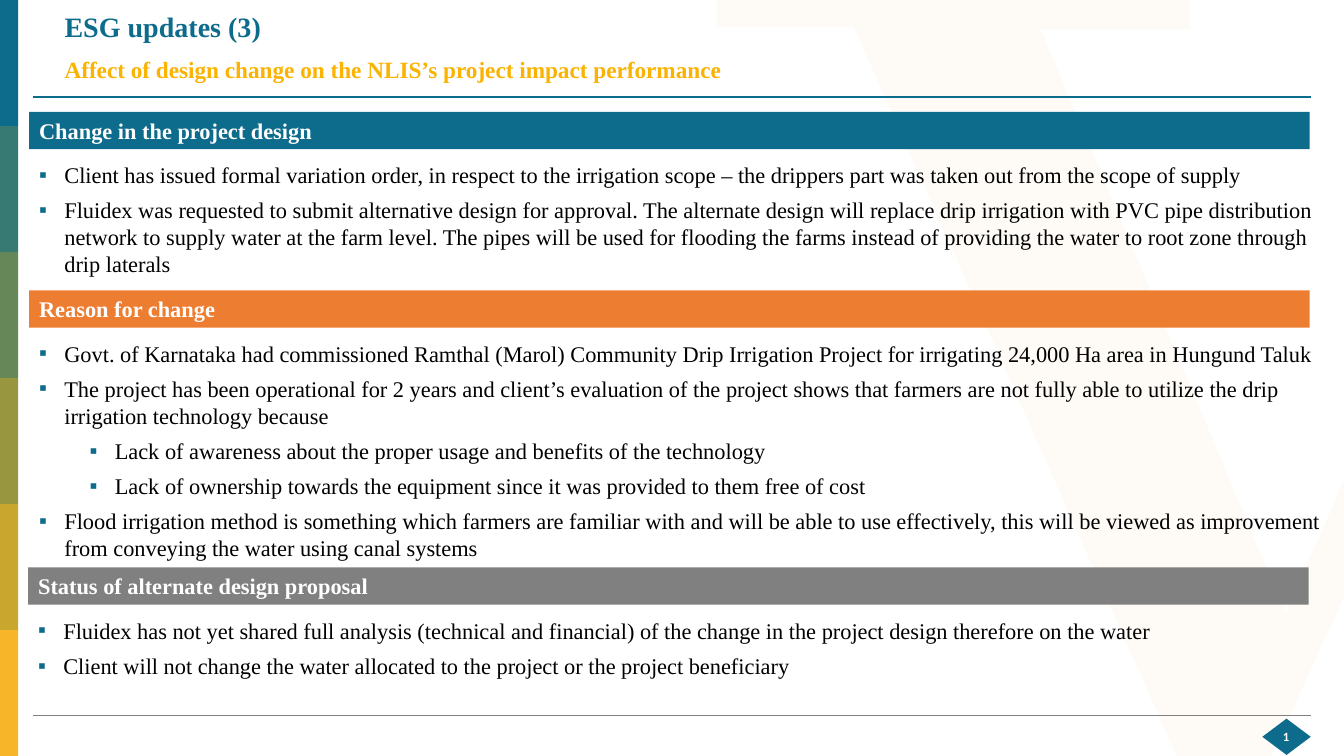
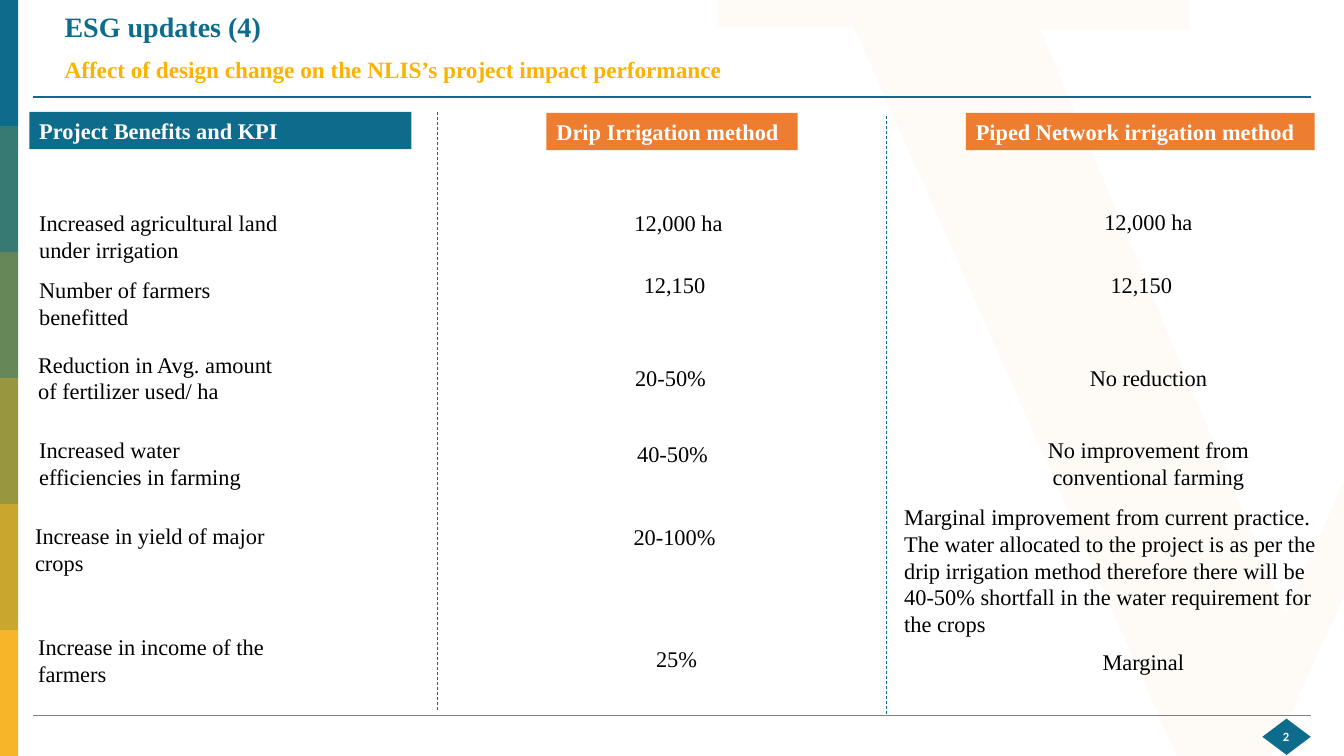
from dataclasses import dataclass

from lxml import etree
from pptx import Presentation
from pptx.dml.color import RGBColor
from pptx.enum.dml import MSO_LINE
from pptx.enum.shapes import MSO_CONNECTOR, MSO_SHAPE
from pptx.enum.text import MSO_ANCHOR, MSO_AUTO_SIZE, PP_ALIGN
from pptx.oxml.ns import qn
from pptx.util import Inches, Pt

STRAIGHT = MSO_CONNECTOR.STRAIGHT
RECTANGLE, DIAMOND = MSO_SHAPE.RECTANGLE, MSO_SHAPE.DIAMOND
TOP, MIDDLE = MSO_ANCHOR.TOP, MSO_ANCHOR.MIDDLE
LEFT, CENTER = PP_ALIGN.LEFT, PP_ALIGN.CENTER
DASH = MSO_LINE.DASH
NO_FIT = MSO_AUTO_SIZE.NONE


@dataclass(frozen=True)
class Theme:
    font: str = "Times New Roman"
    number_font: str = "Calibri"
    teal: str = "0D6B8C"
    orange: str = "ED7D31"
    gray: str = "808080"
    gold: str = "FAB301"
    cream: str = "FEF7E9"
    white: str = "FFFFFF"
    black: str = "000000"
    side_strip: tuple = ("0D6B8C", "367A73", "668757", "999640", "C9A62E", "F7B529")
    title_size: float = 20
    subtitle_size: float = 16.6
    body_size: float = 16
    number_size: float = 9


THEME = Theme()


class Deck:
    def __init__(self, theme):
        self.theme = theme
        self.presentation = Presentation()
        self.presentation.slide_width = Inches(13.33)
        self.presentation.slide_height = Inches(7.5)
        self.layout = self.presentation.slide_layouts[0]
        self.slide = None

    def add_slide(self, title, subtitle):
        first = self.slide is None
        self.slide = self.presentation.slides.add_slide(self.layout)
        if first:
            self.furnish_layout()
        theme = self.theme
        heading, subheading = self.slide.placeholders
        self.heading(heading, title, (0.54, 0.11, 8.83, 0.34), theme.title_size, theme.teal, 0.9)
        self.heading(subheading, subtitle, (0.54, 0.54, 11.03, 0.34), theme.subtitle_size, theme.gold, 0.8)

    def furnish_layout(self):
        theme = self.theme
        for placeholder in list(self.layout.placeholders)[2:]:
            placeholder.element.getparent().remove(placeholder.element)
        parts = [
            self.backdrop(),
            self.line((0.33, 0.96), (13, 0.96), theme.teal, 1.75),
            self.line((0.33, 7.1), (13, 7.1), theme.gray, 1),
            self.shape(DIAMOND, (12.52, 7.13, 0.48, 0.36), theme.teal),
            self.page_number(),
        ]
        strip_height = 7.5 / len(theme.side_strip)
        for index, color in enumerate(theme.side_strip):
            parts.append(self.shape(RECTANGLE, (0, index * strip_height, 0.18, strip_height), color))
        for part in parts:
            self.layout.shapes.element.append(part.element)

    def backdrop(self):
        outline = [(7.11, 0), (11.8, 0), (11.8, 0.29), (10.32, 0.29), (12.75, 6.08), (13.33, 4.77),
                   (13.33, 5.92), (12.61, 7.5), (11.67, 7.5), (8.47, 0.27), (7.11, 0.27)]
        points = [(Inches(x), Inches(y)) for x, y in outline]
        builder = self.slide.shapes.build_freeform(*points[0])
        builder.add_line_segments(points[1:], close=True)
        backdrop = self.paint(builder.convert_to_shape(), self.theme.cream)
        tint = backdrop.element.spPr.find(qn("a:solidFill")).find(qn("a:srgbClr"))
        etree.SubElement(tint, qn("a:alpha"), val="40000")
        return backdrop

    def page_number(self):
        theme = self.theme
        number = self.text("", (12.52, 7.18, 0.47, 0.25), CENTER)
        number.text_frame.vertical_anchor = MIDDLE
        paragraph = number.text_frame.paragraphs[0]
        paragraph.space_after = Pt(0)
        run = paragraph.add_run()
        run.text = "‹#›"
        self.style(run.font, theme.number_size, theme.white, True, theme.number_font)
        field = run._r
        field.tag = qn("a:fld")
        field.set("id", "{B6F15528-21DE-4FAA-801E-634DDDAF4B2B}")
        field.set("type", "slidenum")
        return number

    def style(self, font, size, color, bold=False, name=None):
        font.name = name or self.theme.font
        font.size = Pt(size)
        font.bold = bold
        font.color.rgb = RGBColor.from_string(color)

    def box(self, place):
        return [Inches(length) for length in place]

    def heading(self, placeholder, text, place, size, color, spacing):
        placeholder.left, placeholder.top, placeholder.width, placeholder.height = self.box(place)
        frame = placeholder.text_frame
        frame.text = text
        frame.auto_size = NO_FIT
        frame.vertical_anchor = MIDDLE
        paragraph = frame.paragraphs[0]
        paragraph.alignment = LEFT
        paragraph.line_spacing = spacing
        paragraph.space_before = Pt(0)
        self.style(paragraph.font, size, color, True)

    def paint(self, shape, color):
        shape.shadow.inherit = False
        shape.fill.solid()
        shape.fill.fore_color.rgb = RGBColor.from_string(color)
        shape.line.fill.background()
        return shape

    def shape(self, kind, place, color):
        return self.paint(self.slide.shapes.add_shape(kind, *self.box(place)), color)

    def line(self, start, end, color, width, dash=None):
        line = self.slide.shapes.add_connector(STRAIGHT, *self.box(start + end))
        line.line.color.rgb = RGBColor.from_string(color)
        line.line.width = Pt(width)
        if dash:
            line.line.dash_style = dash
        etree.SubElement(line.element.spPr, qn("a:effectLst"))
        return line

    def set_paragraph(self, paragraph, text, color, bold=False, alignment=LEFT):
        paragraph.text = text
        paragraph.alignment = alignment
        paragraph.space_after = Pt(6)
        self.style(paragraph.font, self.theme.body_size, color, bold)

    def band(self, text, left, top, width, color):
        band = self.shape(RECTANGLE, (left, top, width, 0.37), color)
        frame = band.text_frame
        frame.word_wrap = True
        frame.vertical_anchor = TOP
        self.set_paragraph(frame.paragraphs[0], text, self.theme.white, True)

    def text(self, text, place, alignment=LEFT):
        textbox = self.slide.shapes.add_textbox(*self.box(place))
        textbox.text_frame.word_wrap = True
        self.set_paragraph(textbox.text_frame.paragraphs[0], text, self.theme.black, alignment=alignment)
        return textbox

    def bullets(self, items, place):
        frame = self.slide.shapes.add_textbox(*self.box(place)).text_frame
        frame.word_wrap = True
        for index, (level, text) in enumerate(items):
            paragraph = frame.add_paragraph() if index else frame.paragraphs[0]
            self.set_paragraph(paragraph, text, self.theme.black)
            paragraph.level = level
            properties = paragraph._p.get_or_add_pPr()
            properties.set("marL", str(Inches(0.25 + 0.5 * level)))
            properties.set("indent", str(Inches(-0.25)))
            bullet_color = etree.Element(qn("a:buClr"))
            etree.SubElement(bullet_color, qn("a:srgbClr"), val=self.theme.teal)
            bullet_font = etree.Element(qn("a:buFont"), typeface="Arial")
            bullet_mark = etree.Element(qn("a:buChar"), char="▪")
            after = properties.find(qn("a:spcAft"))
            for part in (bullet_mark, bullet_font, bullet_color):
                after.addnext(part)


SUBTITLE = "Affect of design change on the NLIS’s project impact performance"

SECTIONS = [
    ("Change in the project design", THEME.teal, 0.29, 1.11, 1.55, 1.26, [
        (0, "Client has issued formal variation order, in respect to the irrigation scope – the drippers "
            "part was taken out from the scope of supply"),
        (0, "Fluidex was requested to submit alternative design for approval. The alternate design will "
            "replace drip irrigation with PVC pipe distribution network to supply water at the farm level. "
            "The pipes will be used for flooding the farms instead of providing the water to root zone "
            "through drip laterals"),
    ]),
    ("Reason for change", THEME.orange, 0.29, 2.88, 3.32, 2.32, [
        (0, "Govt. of Karnataka had commissioned Ramthal (Marol) Community Drip Irrigation Project for "
            "irrigating 24,000 Ha area in Hungund Taluk"),
        (0, "The project has been operational for 2 years and client’s evaluation of the project shows "
            "that farmers are not fully able to utilize the drip irrigation technology because"),
        (1, "Lack of awareness about the proper usage and benefits of the technology"),
        (1, "Lack of ownership towards the equipment since it was provided to them free of cost"),
        (0, "Flood irrigation method is something which farmers are familiar with and will be able to use "
            "effectively, this will be viewed as improvement from conveying the water using canal systems"),
    ]),
    ("Status of alternate design proposal", THEME.gray, 0.28, 5.63, 6.07, 0.72, [
        (0, "Fluidex has not yet shared full analysis (technical and financial) of the change in the "
            "project design therefore on the water"),
        (0, "Client will not change the water allocated to the project or the project beneficiary"),
    ]),
]

METHOD_BANDS = [
    ("Project Benefits and KPI", 0.29, 1.11, 3.79, THEME.teal),
    ("Drip Irrigation method", 5.42, 1.12, 2.49, THEME.orange),
    ("Piped Network irrigation method", 9.58, 1.12, 3.46, THEME.orange),
]

KPI_WIDTH, ONE_LINE, TWO_LINES = 2.64, 0.37, 0.64

BENEFITS = [
    ("Increased agricultural land under irrigation", 0.29, 2.03),
    ("Number of farmers benefitted", 0.29, 2.69),
    ("Reduction in Avg. amount of fertilizer used/ ha", 0.28, 3.43),
    ("Increased water efficiencies in farming", 0.29, 4.28),
    ("Increase in yield of major crops", 0.25, 5.13),
    ("Increase in income of the farmers", 0.28, 6.23),
]

RESULTS = [
    ("12,000 ha", 5.41, 2.03),
    ("12,150", 5.37, 2.64),
    ("20-50%", 5.33, 3.56),
    ("40-50%", 5.35, 4.32),
    ("20-100%", 5.37, 5.14),
    ("25%", 5.39, 6.35),
    ("12,000 ha", 10.07, 2.02),
    ("12,150", 10.0, 2.64),
    ("No reduction", 10.07, 3.56),
    ("Marginal", 10.02, 6.38),
]

deck = Deck(THEME)

deck.add_slide("ESG updates (3)", SUBTITLE)
for heading, color, left, band_top, list_top, list_height, items in SECTIONS:
    deck.bullets(items, (left, list_top, 13.05, list_height))
    deck.band(heading, left, band_top, 12.7, color)

deck.add_slide("ESG updates (4)", SUBTITLE)
for method_band in METHOD_BANDS:
    deck.band(*method_band)
for x, top in ((4.34, 1.11), (8.79, 1.15)):
    deck.line((x, top), (x, top + 5.93), THEME.teal, 0.5, DASH)
for benefit, left, top in BENEFITS:
    deck.text(benefit, (left, top, KPI_WIDTH, TWO_LINES))
for result, left, top in RESULTS:
    deck.text(result, (left, top, KPI_WIDTH, ONE_LINE), CENTER)
deck.text("No improvement from conventional farming", (10.07, 4.28, KPI_WIDTH, TWO_LINES), CENTER)
deck.text("Marginal improvement from current practice. The water allocated to the project is as per the "
          "drip irrigation method therefore there will be 40-50% shortfall in the water requirement for "
          "the crops", (8.87, 4.94, 4.36, 1.45))

deck.presentation.save("out.pptx")
